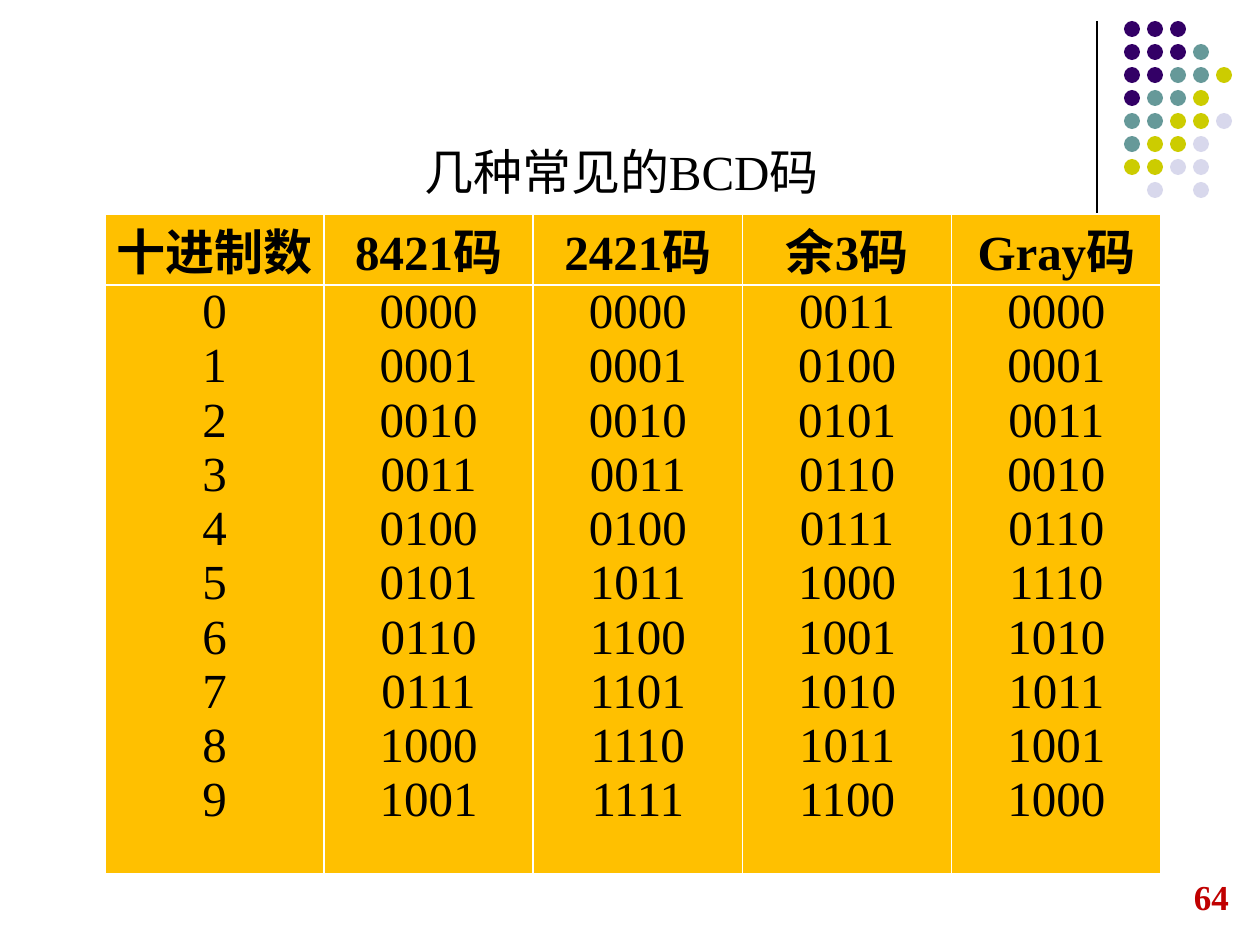
from dataclasses import dataclass

from lxml import etree
from pptx import Presentation
from pptx import util as u
from pptx.dml.color import RGBColor
from pptx.enum import shapes, text
from pptx.oxml import ns


@dataclass(frozen=True)
class Theme:
    """Colours, font and type sizes of the slide."""

    font: str = "Times New Roman"
    black: str = "000000"
    white: str = "FFFFFF"
    red: str = "C00000"
    amber: str = "FFC000"
    purple: str = "330066"
    teal: str = "669999"
    olive: str = "CCCC00"
    lilac: str = "D8D8EC"
    body_size: int = 28
    number_size: int = 20


THEME = Theme()
DOT_COLOURS = {"P": THEME.purple, "T": THEME.teal, "O": THEME.olive, "L": THEME.lilac}
DOT_ROWS = ["PPP", "PPPT", "PPTTO", "PTTO", "TTOOL", "TOOL", "OOLL", " L L"]
CODE_COLUMNS = {
    "十进制数": "0 1 2 3 4 5 6 7 8 9",
    "8421码": "0000 0001 0010 0011 0100 0101 0110 0111 1000 1001",
    "2421码": "0000 0001 0010 0011 0100 1011 1100 1101 1110 1111",
    "余3码": "0011 0100 0101 0110 0111 1000 1001 1010 1011 1100",
    "Gray码": "0000 0001 0011 0010 0110 1110 1010 1011 1001 1000",
}


def px(length):
    """Turn pixels into EMU."""
    return u.Emu(round(length * 914400 / 126))


def set_attributes(target, values):
    """Set each named attribute of the target."""
    for name, value in values.items():
        setattr(target, name, value)


def write_lines(frame, lines, align, size, colour, bold=False):
    """Write one formatted paragraph for each line."""
    for index, line in enumerate(lines):
        paragraph = frame.add_paragraph() if index else frame.paragraphs[0]
        paragraph.alignment = align
        run = paragraph.add_run()
        run.text = line
        set_attributes(run.font, {"name": THEME.font, "size": u.Pt(size), "bold": bold})
        run.font.color.rgb = RGBColor.from_string(colour)


def add_text(slide, box, line, anchor, align, size, colour, bold=False):
    """Place a one-line text box."""
    frame = slide.shapes.add_textbox(*map(px, box)).text_frame
    set_attributes(frame, {"word_wrap": True, "vertical_anchor": anchor})
    write_lines(frame, [line], align, size, colour, bold)


def add_ornament(slide, box):
    """Draw the vertical rule and the dot pattern to its right."""
    left, top, height = box
    rule = slide.shapes.add_connector(
        shapes.MSO_CONNECTOR.STRAIGHT, px(left), px(top), px(left), px(top + height))
    rule.line.color.rgb = RGBColor.from_string(THEME.black)
    rule.line.width = u.Pt(0.75)
    etree.SubElement(rule._element.spPr, ns.qn("a:effectLst"))
    dots_left, pitch, diameter = left + 27, 23, 16
    for row, pattern in enumerate(DOT_ROWS):
        for column, key in enumerate(pattern):
            if key in DOT_COLOURS:
                dot = slide.shapes.add_shape(
                    shapes.MSO_SHAPE.OVAL, px(dots_left + column * pitch),
                    px(top + row * pitch), px(diameter), px(diameter))
                dot.shadow.inherit = False
                dot.fill.solid()
                dot.fill.fore_color.rgb = RGBColor.from_string(DOT_COLOURS[key])
                dot.line.fill.background()


def add_borders(cell, colour):
    """Give a cell one-point borders on all sides."""
    properties = cell._tc.get_or_add_tcPr()
    for index, side in enumerate(["lnL", "lnR", "lnT", "lnB"]):
        line = etree.Element(ns.qn(f"a:{side}"), w=str(u.Pt(1)))
        fill = etree.SubElement(line, ns.qn("a:solidFill"))
        etree.SubElement(fill, ns.qn("a:srgbClr"), val=colour)
        properties.insert(index, line)


def add_code_table(slide, box):
    """Build the table of codes: a header row above one tall row."""
    left, top, width, height = box
    header_height, first_width = 71, 219
    count = len(CODE_COLUMNS)
    table = slide.shapes.add_table(2, count, px(left), px(top), px(width), px(height)).table
    set_attributes(table, {"first_row": False, "horz_banding": False})
    table.rows[0].height = px(header_height)
    table.rows[1].height = px(height - header_height)
    for column, (heading, codes) in enumerate(CODE_COLUMNS.items()):
        table.columns[column].width = px(
            (width - first_width) / (count - 1) if column else first_width)
        for row, lines in enumerate([[heading], codes.split()]):
            cell = table.cell(row, column)
            set_attributes(cell, {"margin_left": px(10), "margin_right": px(10),
                                  "margin_top": 0, "margin_bottom": 0})
            cell.fill.solid()
            cell.fill.fore_color.rgb = RGBColor.from_string(THEME.amber)
            add_borders(cell, THEME.white)
            write_lines(cell.text_frame, lines, text.PP_ALIGN.CENTER,
                        THEME.body_size, THEME.black, bold=row == 0)


def main():
    """Build and save the slide."""
    presentation = Presentation()
    set_attributes(presentation, {"slide_width": px(1260), "slide_height": px(945)})
    slide = presentation.slides.add_slide(presentation.slide_layouts[6])
    add_ornament(slide, (1097, 21, 210))
    add_text(slide, (412, 135, 466, 69), "几种常见的BCD码", text.MSO_ANCHOR.TOP,
             text.PP_ALIGN.LEFT, THEME.body_size, THEME.black)
    add_code_table(slide, (105, 214, 1056, 659))
    add_text(slide, (1176, 869, 71, 63), "64", text.MSO_ANCHOR.TOP,
             text.PP_ALIGN.CENTER, THEME.number_size, THEME.red, bold=True)
    presentation.save("out.pptx")


if __name__ == "__main__":
    main()
